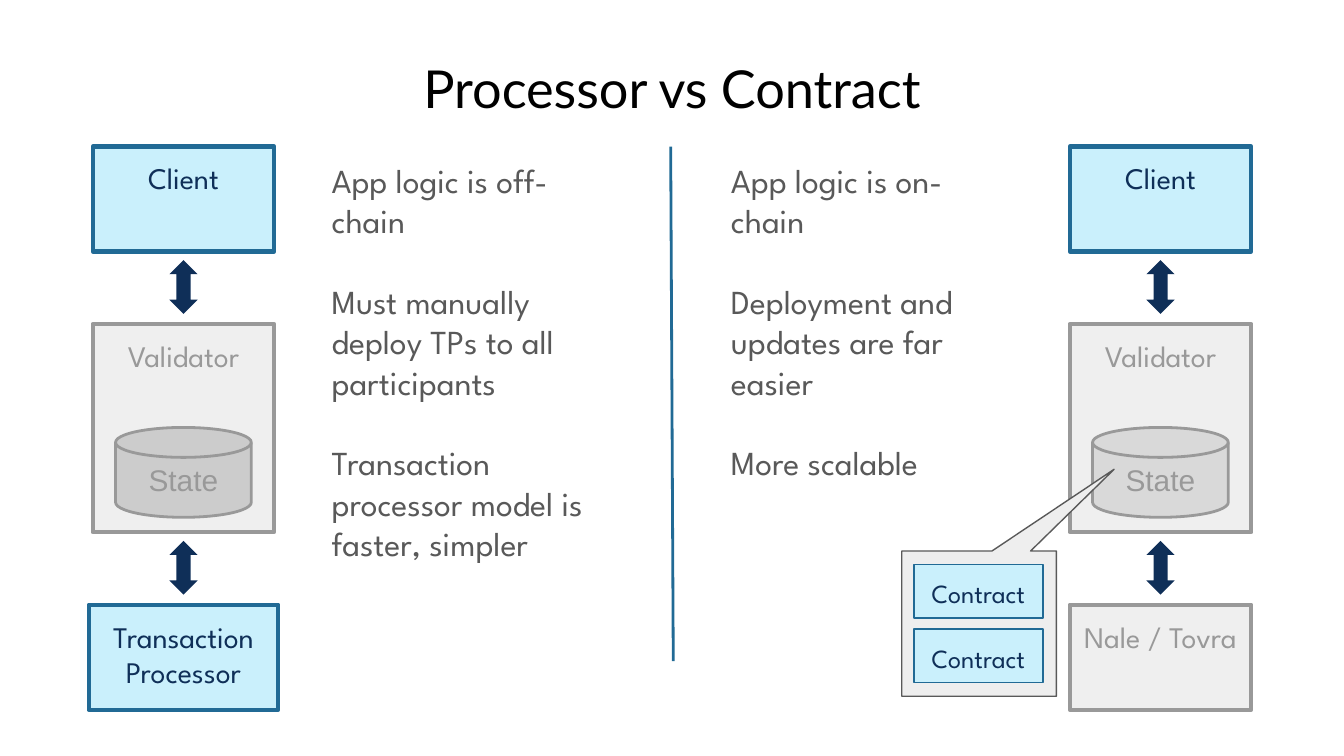
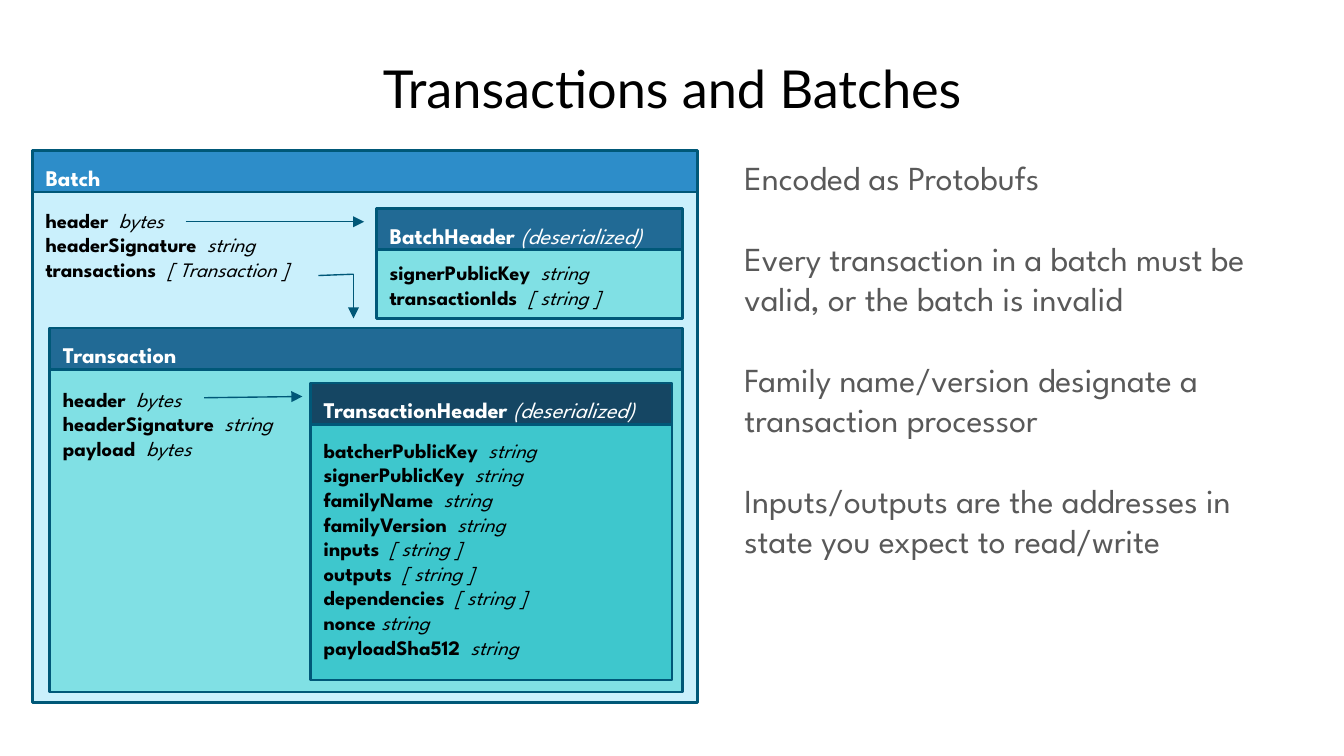
import dataclasses
import pptx
import pptx.util
import pptx.dml.color
import pptx.enum.shapes
import pptx.enum.text
import pptx.oxml.ns
import pptx.oxml.xmlchemy

Pt = pptx.util.Pt
RGB = pptx.dml.color.RGBColor.from_string
MSO = pptx.enum.shapes.MSO_SHAPE
ALIGN = pptx.enum.text.PP_ALIGN
ANCHOR = pptx.enum.text.MSO_ANCHOR
qn = pptx.oxml.ns.qn
new_element = pptx.oxml.xmlchemy.OxmlElement


@dataclasses.dataclass(frozen=True)
class Theme:
    title_font: str = "Lato"
    body_font: str = "League Spartan"
    state_font: str = "Arial"
    title_size: float = 28
    body_size: float = 18
    box_size: float = 16
    contract_size: float = 14
    band_size: float = 12
    field_size: float = 11
    black: str = "000000"
    white: str = "FFFFFF"
    body: str = "595959"
    navy: str = "0F2F58"
    blue: str = "216A95"
    pale: str = "CAF0FC"
    grey: str = "999999"
    light: str = "EFEFEF"
    callout: str = "EEEEEE"
    left_disk: str = "CCCCCC"
    right_disk: str = "D9D9D9"
    teal_line: str = "005878"
    batch_band: str = "2D8DC9"
    header_band: str = "154663"
    aqua: str = "80E0E4"
    teal: str = "3EC7CD"


T = Theme()


def box(s, kind, rect, fill, line=None, width=1.5):
    sp = s.shapes.add_shape(kind, *[Pt(v) for v in rect])
    sp.shadow.inherit = False
    sp.fill.solid()
    sp.fill.fore_color.rgb = RGB(fill)
    if line:
        sp.line.color.rgb = RGB(line)
        sp.line.width = Pt(width)
    else:
        sp.line.fill.background()
    return sp


def write(sp, lines, size, color, font=T.body_font, align=ALIGN.LEFT,
          anchor=ANCHOR.TOP, top=7.2, gap=0, field=False):
    tf = sp.text_frame
    tf.word_wrap = True
    tf.vertical_anchor = anchor
    tf.margin_left = tf.margin_right = tf.margin_bottom = Pt(7.2)
    tf.margin_top = Pt(top)
    for i, parts in enumerate(lines):
        p = tf.paragraphs[0] if i == 0 else tf.add_paragraph()
        p.alignment = align
        if i:
            p.space_before = Pt(gap)
        for j, text in enumerate(parts):
            r = p.add_run()
            r.text = text
            r.font.name = font
            r.font.size = Pt(size)
            r.font.color.rgb = RGB(color)
            r.font.bold = field and j == 0
            r.font.italic = field and j == 1


prs = pptx.Presentation()
prs.slide_width, prs.slide_height = Pt(720), Pt(405)

pages = [
    ("Processor vs Contract", [
        ((170.6, 78.5, 164.2, 301.7), [
            "App logic is off-chain",
            "Must manually deploy TPs to all participants",
            "Transaction processor model is faster, simpler"]),
        ((384.5, 78.5, 164.2, 250.6), [
            "App logic is on-chain",
            "Deployment and updates are far easier",
            "More scalable"])]),
    ("Transactions and Batches", [
        ((391.7, 77, 308.9, 295.9), [
            "Encoded as Protobufs",
            "Every transaction in a batch must be valid, or the batch is invalid",
            "Family name/version designate a transaction processor",
            "Inputs/outputs are the addresses in state you expect to read/write"])]),
]
for title, bodies in pages:
    s = prs.slides.add_slide(prs.slide_layouts[6])
    sp = s.shapes.add_textbox(Pt(24.5), Pt(23), Pt(671), Pt(45.4))
    write(sp, [(title,)], T.title_size, T.black, T.title_font, ALIGN.CENTER)
    for rect, points in bodies:
        sp = s.shapes.add_textbox(*[Pt(v) for v in rect])
        write(sp, [(point,) for point in points], T.body_size, T.body, gap=21.6)

versus, batches = prs.slides

stacks = [
    (49.7, T.left_disk, "Transaction Processor", 2.2, T.pale, T.blue, T.navy),
    (573.1, T.right_disk, "Nale / Tovra", 0, T.light, T.grey, T.grey),
]
for x, disk_fill, engine, extra, fill, line, color in stacks:
    layers = [
        ("Client", (x, 78.5, 97.2, 56.2), T.pale, T.blue, T.navy),
        ("Validator", (x, 173.5, 97.2, 111.6), T.light, T.grey, T.grey),
        (engine, (x - extra, 324, 97.2 + 2 * extra, 56.2), fill, line, color),
    ]
    for name, rect, layer_fill, layer_line, layer_color in layers:
        sp = box(versus, MSO.FLOWCHART_PROCESS, rect, layer_fill, layer_line, 2.25)
        write(sp, [(name,)], T.box_size, layer_color, align=ALIGN.CENTER)
    sp = box(versus, MSO.FLOWCHART_MAGNETIC_DISK, (x + 12.2, 229, 72.7, 48.2),
             disk_fill, T.grey)
    write(sp, [("State",)], T.box_size, T.grey, T.state_font, ALIGN.CENTER,
          ANCHOR.MIDDLE)
    for y in (146.2, 296.6):
        sp = box(versus, MSO.LEFT_RIGHT_ARROW, (x + 34.2, y, 28.8, 15.1), T.navy)
        sp.rotation = 90

sp = box(versus, MSO.RECTANGULAR_CALLOUT, (483.1, 295.2, 82.8, 77.8),
         T.callout, T.body, 0.75)
sp.adjustments[0], sp.adjustments[1] = 0.874, -1.063
for y in (302.4, 337):
    sp = box(versus, MSO.FLOWCHART_PROCESS, (489.6, y, 69.1, 28.8), T.pale, T.blue, 0.75)
    write(sp, [("Contract",)], T.contract_size, T.navy, align=ALIGN.CENTER)

messages = [
    (("Batch",), T.batch_band, T.pale, 17.3, 356.4, 80.6, 90.7, 285.8, [
        ("header", "  bytes"),
        ("headerSignature", "  string"),
        ("transactions  ", "[ Transaction ]")]),
    (("BatchHeader", " (deserialized)"), T.blue, T.aqua,
     201.6, 164.2, 111.6, 118.8, 51.8, [
        ("signerPublicKey", "  string"),
        ("transactionIds  ", "[ string ]")]),
    (("Transaction",), T.blue, T.aqua, 26.6, 339.1, 175.7, 186.5, 184.3, [
        ("header", "  bytes"),
        ("headerSignature", "  string"),
        ("payload  ", "bytes")]),
    (("TransactionHeader", " (deserialized)"), T.header_band, T.teal,
     166.3, 193.7, 205.2, 213.8, 150.5, [
        ("batcherPublicKey", "  string"),
        ("signerPublicKey", "  string"),
        ("familyName", "  string"),
        ("familyVersion", "  string"),
        ("inputs", "  [ string ]"),
        ("outputs", "  [ string ]"),
        ("dependencies", "  [ string ]"),
        ("nonce ", "string"),
        ("payloadSha512", "  string")]),
]
for name, band, fill, x, w, band_y, y, h, fields in messages:
    sp = box(batches, MSO.RECTANGLE, (x, y, w, h), fill, T.teal_line)
    write(sp, fields, T.field_size, T.black, top=20.6, field=True)
    sp = box(batches, MSO.RECTANGLE, (x, band_y, w, 22.3), band, T.teal_line)
    write(sp, [name], T.band_size, T.white, field=True)

lines = [
    (versus, (359.3, 78.5, 360.7, 354.2), T.blue, 1.5, False),
    (batches, (99.4, 118.8, 195.1, 118.8), T.teal_line, 0.75, True),
    (batches, (109.4, 213.1, 162, 212.4), T.teal_line, 0.75, True),
    (batches, (189.4, 146.9, 189.4, 170.6), T.teal_line, 0.75, True),
    (batches, (170.6, 147.6, 189.4, 146.9), T.teal_line, 0.75, False),
]
for s, ends, color, width, arrow in lines:
    c = s.shapes.add_connector(pptx.enum.shapes.MSO_CONNECTOR.STRAIGHT,
                               *[Pt(v) for v in ends])
    c.line.color.rgb = RGB(color)
    c.line.width = Pt(width)
    spPr = c._element.spPr
    if arrow:
        tail = new_element("a:tailEnd")
        tail.set("type", "triangle")
        spPr.find(qn("a:ln")).append(tail)
    spPr.append(new_element("a:effectLst"))

prs.save("out.pptx")
